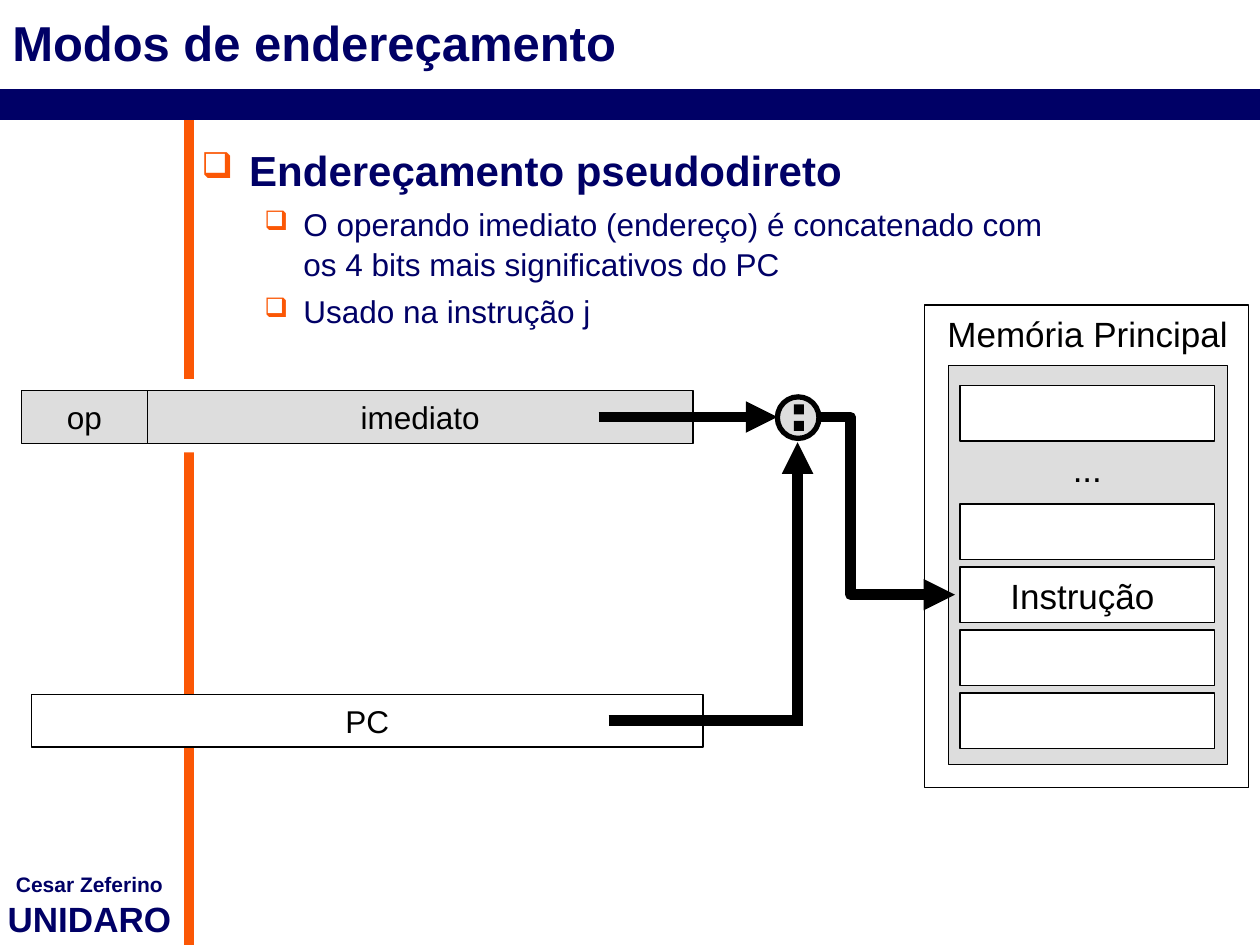
from lxml.etree import SubElement
from pptx import Presentation
from pptx.dml.color import RGBColor
from pptx.enum.shapes import MSO_CONNECTOR, MSO_SHAPE
from pptx.enum.text import MSO_ANCHOR, PP_ALIGN
from pptx.oxml.ns import qn
from pptx.util import Inches, Pt

NAVY = RGBColor(0x00, 0x00, 0x66)
ORANGE = RGBColor(0xFB, 0x57, 0x05)
GRAY = RGBColor(0xDD, 0xDD, 0xDD)
WHITE = RGBColor(0xFF, 0xFF, 0xFF)
BLACK = RGBColor(0x00, 0x00, 0x00)


class SlideBuilder:
    font_name = "Arial"

    def __init__(self, slide):
        self.slide = slide

    def add_text(self, paragraph, text, size, color=BLACK, bold=False):
        for index, line in enumerate(text.split("\n")):
            if index:
                paragraph.add_line_break()
            run = paragraph.add_run()
            run.text = line
            run.font.name = self.font_name
            run.font.size = Pt(size)
            run.font.bold = bold
            run.font.color.rgb = color

    def box(self, left, top, width, height, fill, line_width=0.75,
            text="", kind=MSO_SHAPE.RECTANGLE):
        shape = self.slide.shapes.add_shape(
            kind, Inches(left), Inches(top), Inches(width), Inches(height))
        shape.shadow.inherit = False
        shape.fill.solid()
        shape.fill.fore_color.rgb = fill
        if line_width:
            self.stroke(shape, BLACK, line_width)
        else:
            shape.line.fill.background()
        if text:
            frame = shape.text_frame
            frame.word_wrap = False
            frame.vertical_anchor = MSO_ANCHOR.MIDDLE
            frame.paragraphs[0].alignment = PP_ALIGN.CENTER
            self.add_text(frame.paragraphs[0], text, 18)

    def text_frame(self, left, top, width, height, wrap=True):
        frame = self.slide.shapes.add_textbox(
            Inches(left), Inches(top), Inches(width), Inches(height)).text_frame
        frame.word_wrap = wrap
        return frame

    def label(self, left, top, width, height, text, size=20, color=BLACK,
              bold=False, align=PP_ALIGN.LEFT, wrap=True):
        frame = self.text_frame(left, top, width, height, wrap)
        frame.paragraphs[0].alignment = align
        self.add_text(frame.paragraphs[0], text, size, color, bold)
        return frame

    def bullet(self, paragraph, text, size, margin, indent, before, bold=False):
        paragraph.space_before = Pt(before)
        paragraph.line_spacing = 1.05
        properties = paragraph._p.get_or_add_pPr()
        properties.set("marL", str(Inches(margin)))
        properties.set("indent", str(-Inches(indent)))
        bullet_color = SubElement(properties, qn("a:buClr"))
        SubElement(bullet_color, qn("a:srgbClr"), val=str(ORANGE))
        SubElement(properties, qn("a:buSzPct"), val="85000")
        SubElement(properties, qn("a:buChar"), char="❑")
        self.add_text(paragraph, text, size, NAVY, bold)

    def stroke(self, shape, color, width, arrow=False):
        shape.line.color.rgb = color
        shape.line.width = Pt(width)
        if arrow:
            SubElement(shape.line._get_or_add_ln(), qn("a:tailEnd"), type="triangle")

    def line(self, x1, y1, x2, y2, color=BLACK, width=6, arrow=False):
        connector = self.slide.shapes.add_connector(
            MSO_CONNECTOR.STRAIGHT, Inches(x1), Inches(y1), Inches(x2), Inches(y2))
        self.stroke(connector, color, width, arrow)
        SubElement(connector._element.spPr, qn("a:effectLst"))

    def bent_arrow(self, points):
        corners = [(Inches(x), Inches(y)) for x, y in points]
        builder = self.slide.shapes.build_freeform(*corners[0])
        builder.add_line_segments(corners[1:], close=False)
        route = builder.convert_to_shape()
        route.shadow.inherit = False
        route.fill.background()
        self.stroke(route, BLACK, 6, arrow=True)


def main():
    presentation = Presentation()
    presentation.slide_width = Inches(10)
    presentation.slide_height = Inches(7.5)
    page = SlideBuilder(presentation.slides.add_slide(presentation.slide_layouts[6]))

    page.line(1.5, 0.92, 1.5, 7.5, ORANGE)
    page.line(0, 0.83, 10, 0.83, NAVY, 18)
    signature = page.label(0, 6.87, 1.42, 0.64, "Cesar Zeferino", 12, NAVY, True,
                           PP_ALIGN.CENTER)
    signature.margin_left = signature.margin_right = 0
    institution = signature.add_paragraph()
    institution.alignment = PP_ALIGN.CENTER
    page.add_text(institution, "UNIDARO", 20, NAVY, True)
    page.box(1, 3.01, 0.92, 0.58, WHITE, 0)

    title = page.label(0, 0, 10, 0.67, "Modos de endereçamento", 28, NAVY, True)
    title.vertical_anchor = MSO_ANCHOR.MIDDLE

    body = page.text_frame(1.5, 1.08, 8.5, 6.42)
    page.bullet(body.paragraphs[0], "Endereçamento pseudodireto", 24, 0.38, 0.38, 24, True)
    for topic in (
        "O operando imediato (endereço) é concatenado com \n"
        "os 4 bits mais significativos do PC",
        "Usado na instrução j",
    ):
        paragraph = body.add_paragraph()
        paragraph.level = 1
        page.bullet(paragraph, topic, 18, 0.81, 0.31, 4.5)

    page.box(1.17, 3.1, 4.33, 0.42, GRAY, text="imediato")
    page.box(6.17, 3.15, 0.33, 0.33, GRAY, 3, kind=MSO_SHAPE.OVAL)
    page.line(6.33, 5.76, 6.33, 3.51, arrow=True)

    page.box(7.34, 2.42, 2.57, 3.83, WHITE)
    page.box(7.53, 2.9, 2.21, 3.17, GRAY)
    page.label(7.42, 2.43, 2.58, 0.44, "Memória Principal")
    for word_top in (3.06, 4, 4.5, 5, 5.5):
        page.box(7.62, word_top, 2.02, 0.44, WHITE)
    page.label(7.62, 3.5, 2.02, 0.44, "...", align=PP_ALIGN.CENTER)

    page.box(0.25, 5.51, 5.33, 0.42, WHITE, text="PC")
    page.line(4.75, 3.31, 6.17, 3.31, arrow=True)
    page.line(4.83, 5.72, 6.33, 5.72)
    page.bent_arrow([(6.5, 3.31), (6.75, 3.31), (6.75, 4.72), (7.58, 4.72)])
    page.label(7.92, 4.51, 1.42, 0.44, "Instrução", wrap=False)
    for dot_top in (3.21, 3.34):
        page.box(6.3, dot_top, 0.08, 0.08, BLACK, 0)
    page.box(0.17, 3.1, 1, 0.42, GRAY, text="op")

    presentation.save("out.pptx")


if __name__ == "__main__":
    main()
